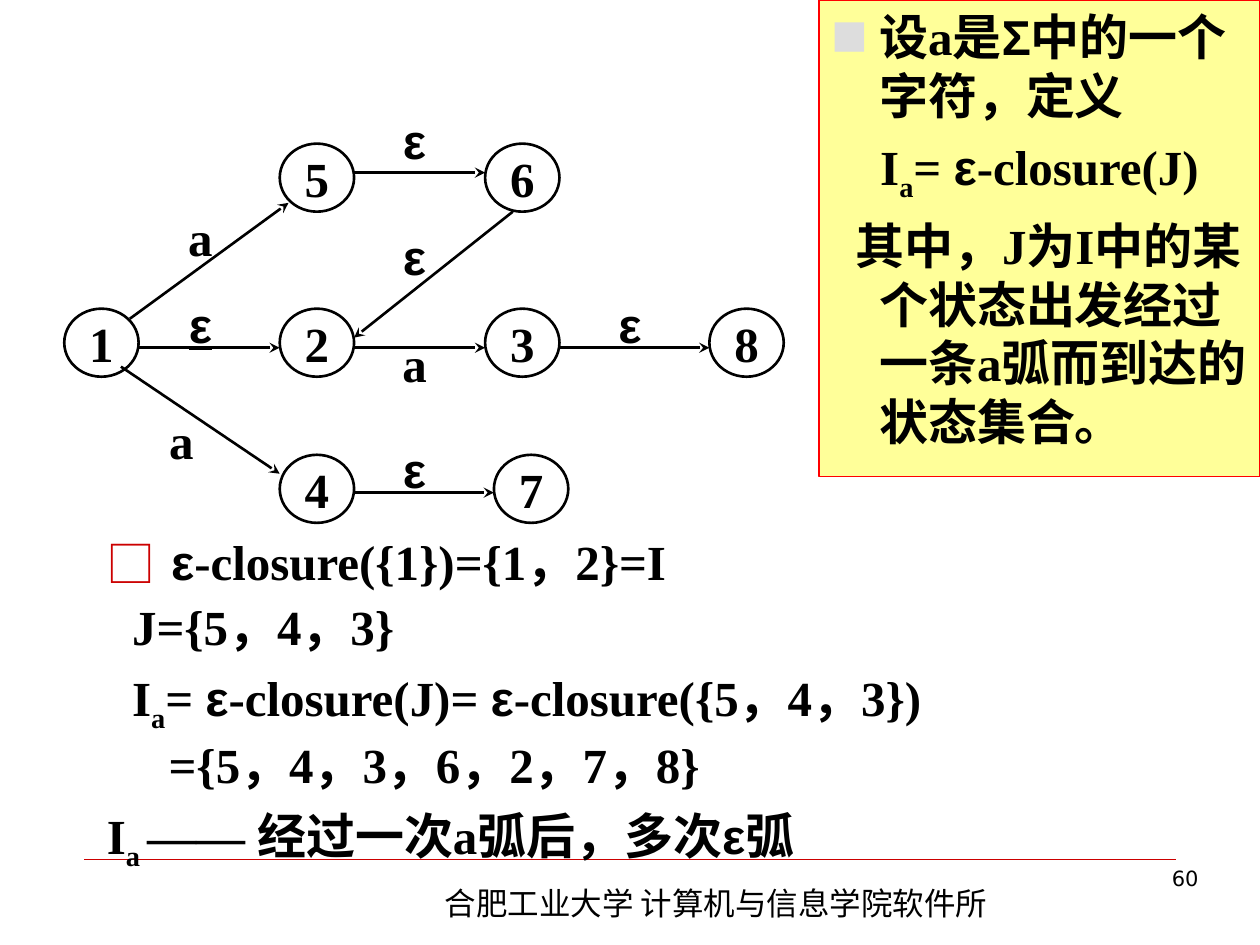
from lxml.etree import SubElement
from pptx import Presentation
from pptx.dml.color import RGBColor
from pptx.enum.shapes import MSO_CONNECTOR, MSO_SHAPE
from pptx.enum.text import MSO_ANCHOR, PP_ALIGN
from pptx.oxml.ns import qn
from pptx.util import Inches, Pt

COLORS = {
    "ink": "000000",
    "rule": "CC0000",
    "note_fill": "FFFF99",
    "note_line": "FF0000",
    "note_bullet": "DDDDDD",
}
SERIF, SANS, CJK, PAGE_FONT = "Times New Roman", "Arial", "Noto Sans CJK SC", "DejaVu Sans"
NODE_SIZE = (0.59, 0.54)
LABEL_SIZE = (0.82, 0.54)


def color(name):
    return RGBColor.from_string(COLORS[name])


class AutomatonSlide:
    """Holds the text style and the slide being drawn."""

    def __init__(self, slide, size=28, font=SERIF):
        self.shapes = slide.shapes
        self.size = size
        self.font = font

    def run(self, paragraph, text, font=None, size=None, bold=True, sub=False, underline=None):
        run = paragraph.add_run()
        run.text = text
        run.font.size = Pt(size or self.size)
        run.font.name = font or self.font
        run.font.bold = bold
        run.font.underline = underline
        run.font.color.rgb = color("ink")
        properties = run.font._element
        SubElement(properties, qn("a:ea")).set("typeface", CJK)
        if sub:
            properties.set("baseline", "-25000")

    def paragraphs(self, frame, items, line_spacing=None):
        """Each item is (runs, left margin, first-line indent, options)."""
        frame.word_wrap = True
        for index, (runs, margin, indent, options) in enumerate(items):
            paragraph = frame.paragraphs[0] if index == 0 else frame.add_paragraph()
            paragraph.alignment = options.get("align", PP_ALIGN.LEFT)
            paragraph.line_spacing = line_spacing
            paragraph.space_before = Pt(7 if index else 0)
            properties = paragraph._p.get_or_add_pPr()
            properties.set("marL", str(Inches(margin)))
            properties.set("indent", str(Inches(indent)))
            if "bullet" in options:
                self.bullet(properties, *options["bullet"])
            for text, style in runs:
                self.run(paragraph, text, **style)

    def bullet(self, properties, char, color_name, percent):
        bullet_color = SubElement(properties, qn("a:buClr"))
        SubElement(bullet_color, qn("a:srgbClr")).set("val", COLORS[color_name])
        SubElement(properties, qn("a:buSzPct")).set("val", str(percent * 1000))
        SubElement(properties, qn("a:buFont")).set("typeface", CJK)
        SubElement(properties, qn("a:buChar")).set("char", char)

    def text_box(self, left, top, width, height):
        box = self.shapes.add_textbox(*map(Inches, (left, top, width, height)))
        box.text_frame.word_wrap = True
        return box.text_frame

    def line_of_text(self, place, text, font, size, align=PP_ALIGN.LEFT):
        paragraph = self.text_box(*place).paragraphs[0]
        paragraph.alignment = align
        self.run(paragraph, text, font, size, bold=False)

    def centred(self, frame, text, **style):
        frame.word_wrap = False
        frame.vertical_anchor = MSO_ANCHOR.MIDDLE
        frame.paragraphs[0].alignment = PP_ALIGN.CENTER
        self.run(frame.paragraphs[0], text, **style)

    def shape(self, kind, place, line, width, fill=None):
        shape = self.shapes.add_shape(kind, *map(Inches, place))
        shape.shadow.inherit = False
        if fill:
            shape.fill.solid()
            shape.fill.fore_color.rgb = color(fill)
        else:
            shape.fill.background()
        shape.line.color.rgb = color(line)
        shape.line.width = Pt(width)
        return shape.text_frame

    def node(self, name, left, top):
        frame = self.shape(MSO_SHAPE.OVAL, (left, top, *NODE_SIZE), "ink", 1.5)
        self.centred(frame, name)

    def label(self, text, left, top, underline=None):
        font = SANS if text == "ε" else SERIF
        self.centred(self.text_box(left, top, *LABEL_SIZE), text, font=font, underline=underline)

    def line(self, x1, y1, x2, y2, color_name="ink", width=1.5, arrow=True):
        line = self.shapes.add_connector(
            MSO_CONNECTOR.STRAIGHT, *map(Inches, (x1, y1, x2, y2)))
        line.line.color.rgb = color(color_name)
        line.line.width = Pt(width)
        if arrow:
            SubElement(line.line._get_or_add_ln(), qn("a:tailEnd")).set("type", "stealth")
        SubElement(line._element.spPr, qn("a:effectLst"))


def main():
    deck = Presentation()
    deck.slide_width, deck.slide_height = Inches(10), Inches(7.5)
    page = AutomatonSlide(deck.slides.add_slide(deck.slide_layouts[6]))

    plain, sans, sub = {}, {"font": SANS}, {"sub": True}
    epsilon = ("ε", sans)
    state_set_start = [("I", plain), ("a", sub), ("= ", plain), epsilon]

    page.line(0.67, 6.82, 9.33, 6.82, "rule", 0.25, arrow=False)
    page.line_of_text((3.43, 6.97, 4.72, 0.4), "合肥工业大学 计算机与信息学院软件所", CJK, 18)
    page.line_of_text((7.44, 6.82, 2.17, 0.52), "60", PAGE_FONT, 12, PP_ALIGN.RIGHT)

    page.paragraphs(page.text_box(0.75, 4.22, 8.86, 2.76), [
        ([epsilon, ("-closure({1})={1，2}=I", plain)], 0.51, -0.51,
         {"bullet": ("□", "rule", 100)}),
        ([("J={5，4，3}", plain)], 0.2, 0, {}),
        (state_set_start + [("-closure(J)= ", plain), epsilon,
                            ("-closure({5，4，3})", plain)], 0.2, 0, {}),
        ([("={5，4，3，6，2，7，8}", plain)], 0.49, 0, {}),
        ([("I", plain), ("a ", sub), ("—— 经过一次a弧后，多次", plain),
          epsilon, ("弧", plain)], 0, 0, {}),
    ], line_spacing=0.9)

    upper, middle, lower = 1.14, 2.45, 3.61
    nodes = {
        "1": (0.51, middle), "2": (2.22, middle), "3": (3.85, middle), "8": (5.63, middle),
        "5": (2.22, upper), "6": (3.85, upper),
        "4": (2.22, lower), "7": (3.92, lower),
    }
    for name, place in nodes.items():
        page.node(name, *place)

    for start, end, drop in [("5", "6", 0.23), ("1", "2", 0.31), ("2", "3", 0.31),
                             ("3", "8", 0.31), ("4", "7", 0.3)]:
        left, top = nodes[start]
        page.line(left + NODE_SIZE[0], top + drop, nodes[end][0], top + drop)
    for slanted in [(1.03, 2.53, 2.29, 1.61), (4.07, 1.68, 2.81, 2.68),
                    (0.96, 2.91, 2.22, 3.76)]:
        page.line(*slanted)

    page.label("ε", 1.18, 2.3, underline=True)
    for label in [("a", 2.88, 2.61), ("a", 1.03, 3.22), ("a", 1.18, 1.61), ("ε", 4.59, 2.3),
                  ("ε", 2.88, 1.76), ("ε", 2.88, 0.84), ("ε", 2.88, 3.45)]:
        page.label(*label)

    definition = page.shape(MSO_SHAPE.RECTANGLE, (6.5, 0, 3.5, 3.78),
                            "note_line", 0.75, "note_fill")
    definition.vertical_anchor = MSO_ANCHOR.TOP
    page.paragraphs(definition, [
        ([("设a是", plain), ("Σ", sans), ("中的一个字符，定义", plain)], 0.38, -0.38,
         {"bullet": ("■", "note_bullet", 75)}),
        (state_set_start + [("-closure(J)", plain)], 0, 0, {"align": PP_ALIGN.CENTER}),
        ([("其中，J为I中的某个状态出发经过一条a弧而到达的状态集合。", plain)], 0.38, -0.19, {}),
    ])

    deck.save("out.pptx")


if __name__ == "__main__":
    main()
